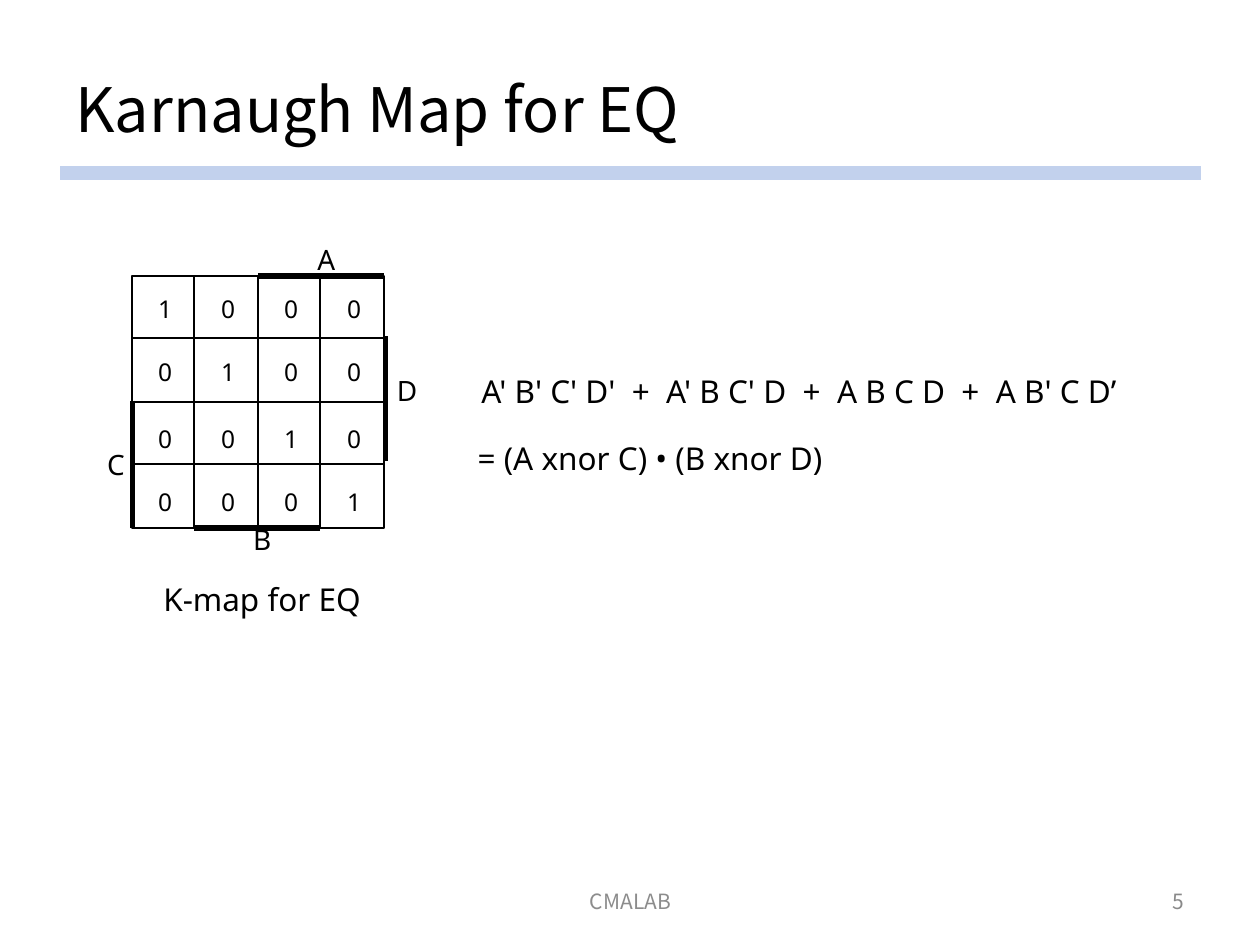
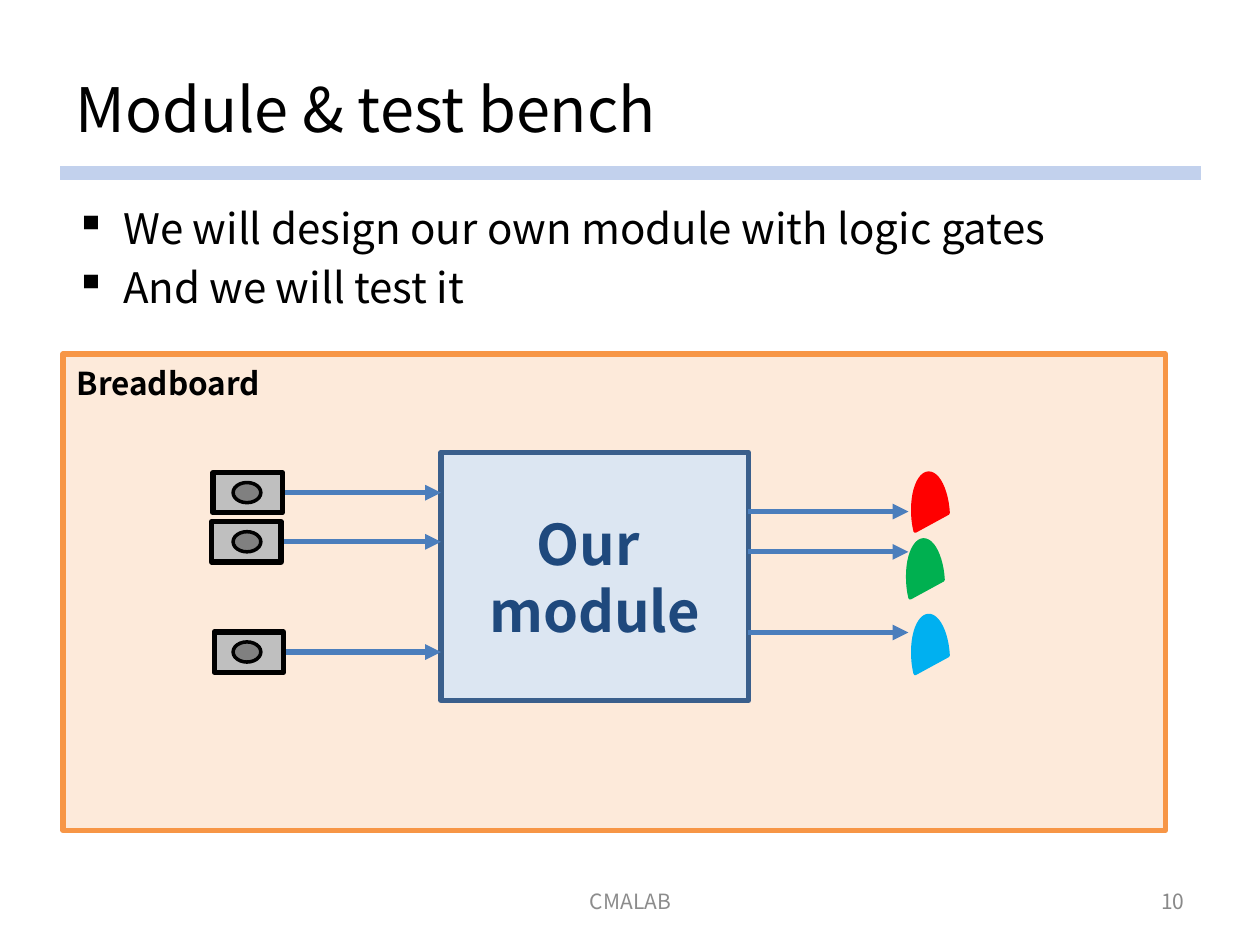
from dataclasses import dataclass

from lxml.etree import SubElement
from pptx import Presentation
from pptx.dml.color import RGBColor
from pptx.enum.shapes import MSO_CONNECTOR as Connector, MSO_SHAPE as Shape
from pptx.enum.text import MSO_ANCHOR as Anchor, PP_ALIGN as Align
from pptx.oxml.ns import qn
from pptx.util import Inches, Pt


@dataclass(frozen=True)
class Theme:
    """Colours, fonts and type sizes of the deck."""
    heading_font: str = "Noto Sans CJK KR"
    map_font: str = "Noto Sans"
    title: int = 35
    body: int = 24
    module: int = 32
    label: int = 18
    variable: int = 16
    value: int = 14
    small: int = 12
    ink: str = "000000"
    band: str = "C2D1ED"
    footer: str = "8C8C8C"
    number: str = "898989"
    board_fill: str = "FDEADA"
    board_line: str = "F79646"
    module_fill: str = "DCE6F2"
    module_line: str = "3A5F8C"
    module_text: str = "1F497D"
    wire: str = "4B7EBC"
    switch: str = "BFBFBF"
    button: str = "808080"
    red: str = "FF0000"
    green: str = "00B050"
    blue: str = "00B0F0"


theme = Theme()
deck = Presentation()
deck.slide_width, deck.slide_height = Inches(10), Inches(7.5)
# The page is a grid of 100 columns by 75 rows; all lengths count its units.
COLUMN, ROW = deck.slide_width / 100, deck.slide_height / 75


def add_box(page, area, lines=(), size=theme.label, font=theme.heading_font,
            color=theme.ink, bold=None, align=Align.LEFT, anchor=Anchor.TOP,
            tight=False, pitch=None, before=None, tab=None, bullet=None,
            kind=None, fill=None, line=None, weight=1):
    """Add a text box, or a preset shape when kind is given."""
    left, top, width, height = area
    frame = [int(left * COLUMN), int(top * ROW), int(width * COLUMN), int(height * ROW)]
    if kind is None:
        box = page.shapes.add_textbox(*frame)
    else:
        box = page.shapes.add_shape(kind, *frame)
        box.shadow.inherit = False
        box.fill.background()
        if fill:
            box.fill.solid()
            box.fill.fore_color.rgb = RGBColor.from_string(fill)
        box.line.color.rgb = RGBColor.from_string(line)
        box.line.width = Pt(weight)
    text = box.text_frame
    text.word_wrap = not tight
    text.vertical_anchor = anchor
    if tight:
        text.margin_left = text.margin_right = Inches(0.02)
        text.margin_top = text.margin_bottom = Inches(0.03)
    for index, words in enumerate(lines):
        para = text.add_paragraph() if index else text.paragraphs[0]
        para.add_run().text = words
        para.alignment = align
        if pitch:
            para.line_spacing = Pt(pitch)
        if before and (index or bullet):
            para.space_before = Pt(before)
        settings = para._p.get_or_add_pPr()
        if bullet:
            indent = int(3.8 * COLUMN)
            settings.set("marL", str(indent))
            settings.set("indent", str(-indent))
            SubElement(settings, qn("a:buChar"), char=bullet)
        if tab:
            stops = SubElement(settings, qn("a:tabLst"))
            SubElement(stops, qn("a:tab"), pos=str(int(tab * COLUMN)), algn="l")
        para.font.size, para.font.name, para.font.bold = Pt(size), font, bold
        para.font.color.rgb = RGBColor.from_string(color)
    return box


def add_line(page, start, end, color=theme.ink, weight=1, arrow=False):
    """Add a straight line between two grid points."""
    line = page.shapes.add_connector(
        Connector.STRAIGHT, int(start[0] * COLUMN), int(start[1] * ROW),
        int(end[0] * COLUMN), int(end[1] * ROW))
    line.line.color.rgb = RGBColor.from_string(color)
    line.line.width = Pt(weight)
    if arrow:
        SubElement(line.line._get_or_add_ln(), qn("a:tailEnd"), type="triangle")
    SubElement(line._element.spPr, qn("a:effectLst"))


# Both pages: band, title, footer and page number
pages = []
for title, number in (("Karnaugh Map for EQ", "5"), ("Module & test bench", "10")):
    page = deck.slides.add_slide(deck.slide_layouts[6])
    add_line(page, (4.8, 13.7), (95.3, 13.7), theme.band, 8)
    add_box(page, (5, 3, 90, 11.1), [title], theme.title, anchor=Anchor.MIDDLE)
    add_box(page, (34.2, 69.5, 31.7, 4), ["CMALAB"], theme.small, color=theme.footer,
            align=Align.CENTER, anchor=Anchor.MIDDLE)
    add_box(page, (71.7, 69.5, 23.3, 4), [number], theme.small, color=theme.number,
            align=Align.RIGHT, anchor=Anchor.MIDDLE)
    pages.append(page)
map_page, bench_page = pages

# Karnaugh map: four quadrants of two by two cells
CELL = 5
QUADRANT = 2 * CELL
MAP_LEFT, MAP_TOP = 10.5, 21.9
MAP_RIGHT, MAP_BOTTOM = MAP_LEFT + 2 * QUADRANT, MAP_TOP + 2 * QUADRANT
values = ["1000", "0100", "0010", "0001"]
for down in range(2):
    for across in range(2):
        left, top = MAP_LEFT + across * QUADRANT, MAP_TOP + down * QUADRANT
        middle_x, middle_y = left + CELL - 0.1, top + CELL - 0.05
        rows = ["\t".join(row[2 * across:2 * across + 2])
                for row in values[2 * down:2 * down + 2]]
        add_box(map_page, (left + 1.85, top + 1 + 0.25 * down, 9, 8.9), rows, theme.value,
                theme.map_font, tight=True, pitch=18, before=18, tab=CELL)
        add_box(map_page, (left, top, QUADRANT, QUADRANT), kind=Shape.RECTANGLE,
                line=theme.ink)
        add_line(map_page, (middle_x, top), (middle_x, top + QUADRANT))
        add_line(map_page, (left, middle_y), (left + QUADRANT, middle_y))

# Thick edges mark where each variable is true
for start, end in (
        ((MAP_LEFT + QUADRANT, MAP_TOP), (MAP_RIGHT, MAP_TOP)),
        ((MAP_RIGHT + 0.1, MAP_TOP + CELL - 0.2), (MAP_RIGHT + 0.1, MAP_BOTTOM - CELL - 0.3)),
        ((MAP_LEFT + CELL - 0.1, MAP_BOTTOM), (MAP_RIGHT - CELL - 0.1, MAP_BOTTOM)),
        ((MAP_LEFT, MAP_TOP + QUADRANT - 0.1), (MAP_LEFT, MAP_BOTTOM))):
    add_line(map_page, start, end, weight=3)
for name, left, top in (("A", 25, 19.4), ("B", 19.9, 41.6), ("C", 8.3, 35.7), ("D", 31.3, 29.8)):
    add_box(map_page, (left, top, 6.4, 3.6), [name], theme.variable, theme.map_font,
            tight=True, pitch=16)

add_box(map_page, (10.8, 45.7, 20, 7.2), ["K-map for EQ"], font=theme.map_font,
        align=Align.CENTER, tight=True, pitch=22)
for left, top, width, formula in (
        (38, 28.1, 53.9, "A' B' C' D'  +  A' B C' D  +  A B C D  +  A B' C D’"),
        (37.7, 33.4, 28.9, "= (A xnor C) • (B xnor D)")):
    add_box(map_page, (left, top, width, 5), [formula], font=theme.map_font,
            tight=True, pitch=30)

# Test bench: switches on the left, module in the middle, lamps on the right
add_box(bench_page, (5, 15.6, 90, 52.3),
        ["We will design our own module with logic gates", "And we will test it"],
        theme.body, bullet="▪", before=0.2 * theme.body)
add_box(bench_page, (5, 28.1, 87.5, 37.8), kind=Shape.RECTANGLE,
        fill=theme.board_fill, line=theme.board_line, weight=3)
add_box(bench_page, (5.1, 28.4, 47.9, 4), ["Breadboard"], bold=True)
MODULE_LEFT, MODULE_WIDTH = 35, 24.4
add_box(bench_page, (MODULE_LEFT, 35.9, MODULE_WIDTH, 19.7), ["Our ", "module"],
        theme.module, color=theme.module_text, bold=True, align=Align.CENTER,
        anchor=Anchor.MIDDLE, kind=Shape.RECTANGLE, fill=theme.module_fill,
        line=theme.module_line, weight=3)

for left, middle in ((16.9, 39.1), (16.8, 43), (17, 51.75)):
    add_line(bench_page, (left + 5.5, middle), (MODULE_LEFT, middle), theme.wire, 3, True)
    add_box(bench_page, (left, middle - 1.6, 5.5, 3.2), kind=Shape.RECTANGLE,
            fill=theme.switch, line=theme.ink, weight=3)
    add_box(bench_page, (18.5, middle - 0.8, 2.2, 1.6), kind=Shape.OVAL,
            fill=theme.button, line=theme.ink, weight=2)

module_right = MODULE_LEFT + MODULE_WIDTH
for wire, left, top, color in ((40.6, 70.6, 39.4, theme.red),
                               (43.8, 70.2, 44.7, theme.green),
                               (50.2, 70.6, 50.7, theme.blue)):
    add_line(bench_page, (module_right, wire), (72.1, wire), theme.wire, 3, True)
    lamp = add_box(bench_page, (left, top, 6.5, 2.8), kind=Shape.CHORD,
                   fill=color, line=color, weight=2)
    lamp.rotation = 87

deck.save("out.pptx")
